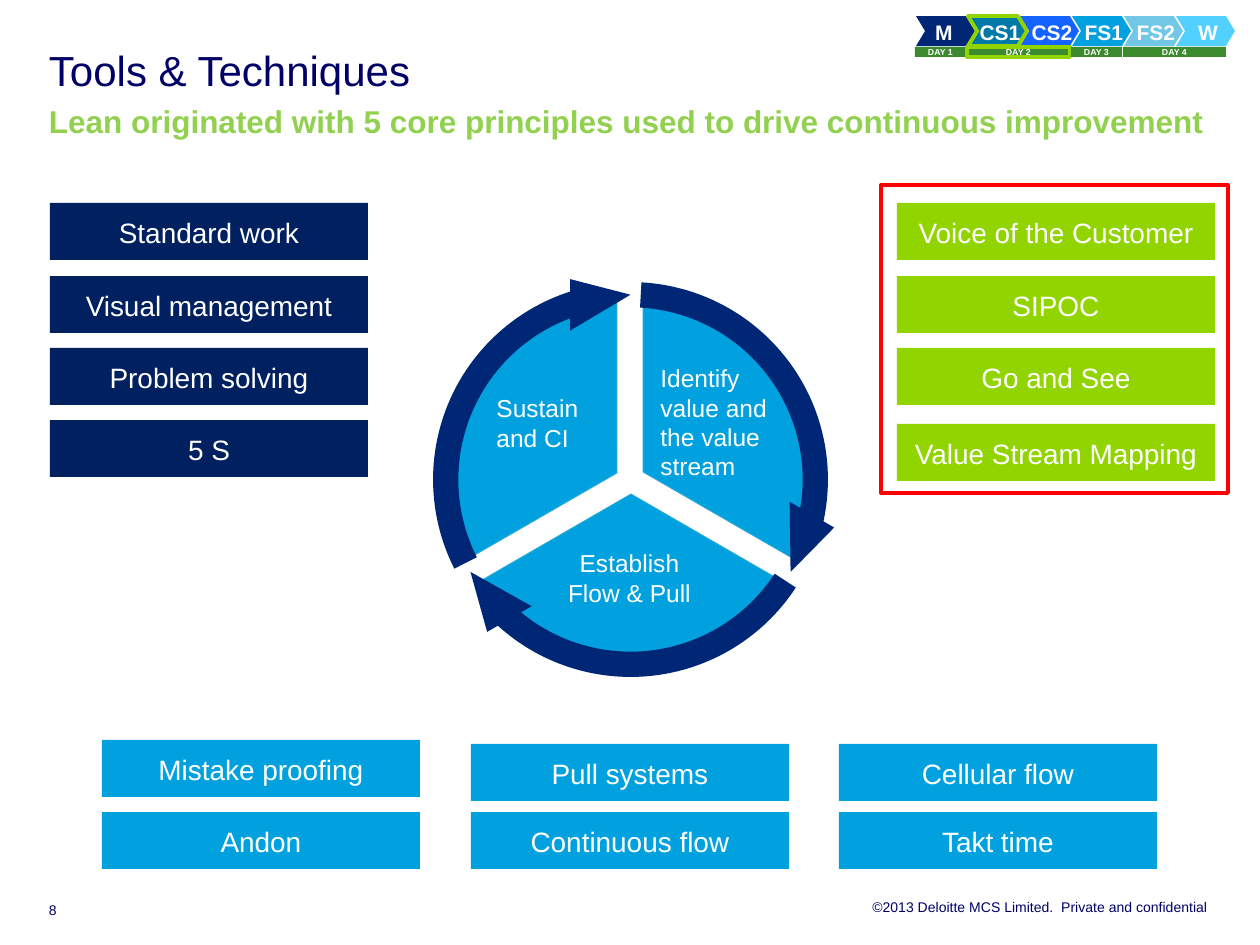
from pptx import Presentation
from pptx.dml.color import RGBColor
from pptx.enum.shapes import MSO_SHAPE
from pptx.enum.text import MSO_ANCHOR, PP_ALIGN
from pptx.util import Emu, Pt

PX = 914400 / 126
FONT = "Arial"
COLORS = {
    "white": "FFFFFF", "title": "000066", "subtitle": "92D050",
    "navy": "002776", "dark": "002060", "teal": "0079A6", "blue": "1462FF",
    "cyan": "00A1DE", "pale": "72C7E7", "sky": "52D0FF", "edge": "28AADA",
    "green": "3C8A2E", "lime": "92D400", "red": "FF0000",
}


def px(value):
    return Emu(round(value * PX))


def rgb(name):
    return RGBColor.from_string(COLORS[name])


def style_run(run, size, color, bold=False):
    run.font.name = FONT
    run.font.size = Pt(size)
    run.font.bold = bold
    run.font.color.rgb = rgb(color)


def write(shape, text, size, color="white", bold=False, align=PP_ALIGN.CENTER,
          anchor=MSO_ANCHOR.MIDDLE, insets=(0, 0, 0, 0), spacing=None, wrap=True):
    text_frame = shape.text_frame
    text_frame.word_wrap = wrap
    text_frame.vertical_anchor = anchor
    (text_frame.margin_left, text_frame.margin_top,
     text_frame.margin_right, text_frame.margin_bottom) = map(px, insets)
    text_frame.text = text
    paragraph = text_frame.paragraphs[0]
    paragraph.alignment = align
    paragraph.line_spacing = spacing
    for run in paragraph.runs:
        style_run(run, size, color, bold)
    return paragraph


def add_shape(slide, kind, box, fill=None, line=None, width=0.5,
              adjustments=(), rotation=0):
    shape = slide.shapes.add_shape(kind, *map(px, box))
    shape.shadow.inherit = False
    for index, value in enumerate(adjustments):
        shape.adjustments[index] = value
    shape.rotation = rotation
    if fill:
        shape.fill.solid()
        shape.fill.fore_color.rgb = rgb(fill)
    else:
        shape.fill.background()
    if line:
        shape.line.color.rgb = rgb(line)
        shape.line.width = Pt(width)
    else:
        shape.line.fill.background()
    return shape


def add_text(slide, box, text, size, **options):
    return write(slide.shapes.add_textbox(*map(px, box)), text, size, **options)


def add_day_tracker(slide, left, top):
    pitch = 52
    stages = [("M", "navy"), ("CS1", "teal"), ("CS2", "blue"),
              ("FS1", "cyan"), ("FS2", "pale"), ("W", "sky")]
    current = "CS1"
    # The current stage goes last so that its outline stays on top
    for index, (label, fill) in sorted(enumerate(stages),
                                       key=lambda stage: stage[1][0] == current):
        chevron = add_shape(slide, MSO_SHAPE.CHEVRON,
                            (left + 1 + index * pitch, top, 59, 30), fill,
                            "lime" if label == current else None, 2.25, [0.303])
        first = index == 0
        write(chevron, label, 12, bold=True, spacing=1.1, wrap=False,
              align=PP_ALIGN.LEFT if first else PP_ALIGN.CENTER,
              insets=(10, 8, 0, 8) if first else (25, 8, 20, 8))
    # Day bars: first stage and number of stages covered
    for day, (start, span) in enumerate([(0, 1), (1, 2), (3, 1), (4, 2)], 1):
        bar = add_shape(slide, MSO_SHAPE.RECTANGLE,
                        (left + start * pitch, top + 31, span * pitch - 1, 10),
                        "green", "lime" if day == 2 else None, 2.25)
        write(bar, f"DAY {day}", 5, bold=True, anchor=MSO_ANCHOR.TOP,
              insets=(5, 0, 5, 0))


def add_title(slide, left, top, width, height):
    paragraph = add_text(
        slide, (left, top, width, height),
        "Tools & Techniques\vLean originated with 5 core principles used to "
        "drive continuous improvement",
        24, color="title", align=PP_ALIGN.LEFT, anchor=MSO_ANCHOR.TOP,
        spacing=Pt(26))
    style_run(paragraph.runs[1], 18, "subtitle", True)


def add_tool_column(slide, left, top, fill, offsets, labels):
    for offset, label in zip(offsets, labels):
        box = add_shape(slide, MSO_SHAPE.RECTANGLE,
                        (left, top + offset, 318, 57), fill)
        write(box, label, 16, insets=(5, 5, 5, 5), spacing=1.02)


def add_wheel(slide, left, top, size):
    # Three sectors, each followed by its arrow
    for index, (x, y) in enumerate([(26, 33), (52, 32), (40, 54)]):
        turn = index * 120
        add_shape(slide, MSO_SHAPE.PIE, (left + x, top + y, 342, 342), "cyan",
                  "edge", 0.5, (90, 162), turn)
        add_shape(slide, MSO_SHAPE.CIRCULAR_ARROW, (left, top, size, size), "navy",
                  adjustments=(0.06, 11.423, 204.577, 145.91, 0.061),
                  rotation=(turn + 270) % 360)
    # Sector labels
    for x, y, width, height, label, align in [
        (64, 118, 132, 72, "Sustain and CI", PP_ALIGN.LEFT),
        (228, 88, 150, 131, "Identify value and the value stream", PP_ALIGN.LEFT),
        (134, 273, 151, 102, "Establish Flow & Pull", PP_ALIGN.CENTER),
    ]:
        add_text(slide, (left + x, top + y, width, height), label, 14, align=align,
                 anchor=MSO_ANCHOR.TOP, insets=(12.6, 6.3, 12.6, 6.3))


def add_footer(slide, left, top, width):
    add_text(slide, (left, top + 4, 49, 16), "8", 8, color="title",
             align=PP_ALIGN.LEFT, anchor=MSO_ANCHOR.BOTTOM)
    add_text(slide, (left + 379, top, width - 379, 16),
             "©2013 Deloitte MCS Limited.  Private and confidential", 8,
             color="title", align=PP_ALIGN.RIGHT, anchor=MSO_ANCHOR.TOP)


def main():
    presentation = Presentation()
    presentation.slide_width = px(1260)
    presentation.slide_height = px(945)
    slide = presentation.slides.add_slide(presentation.slide_layouts[6])

    add_day_tracker(slide, 915, 16)
    add_title(slide, 49, 49, 1160, 87)
    add_wheel(slide, 420, 269, 421)

    # Tools around the wheel
    add_tool_column(slide, 50, 203, "dark", (0, 73, 145, 217),
                    ["Standard work", "Visual management", "Problem solving", "5 S"])
    add_tool_column(slide, 897, 203, "lime", (0, 73, 145, 221),
                    ["Voice of the Customer", "SIPOC", "Go and See",
                     "Value Stream Mapping"])
    add_tool_column(slide, 102, 740, "cyan", (0, 72), ["Mistake proofing", "Andon"])
    add_tool_column(slide, 471, 744, "cyan", (0, 68),
                    ["Pull systems", "Continuous flow"])
    add_tool_column(slide, 839, 744, "cyan", (0, 68), ["Cellular flow", "Takt time"])

    # Highlight frame
    add_shape(slide, MSO_SHAPE.RECTANGLE, (881, 185, 347, 308), line="red", width=2.25)
    add_footer(slide, 49, 898, 1159)
    presentation.save("out.pptx")


if __name__ == "__main__":
    main()
